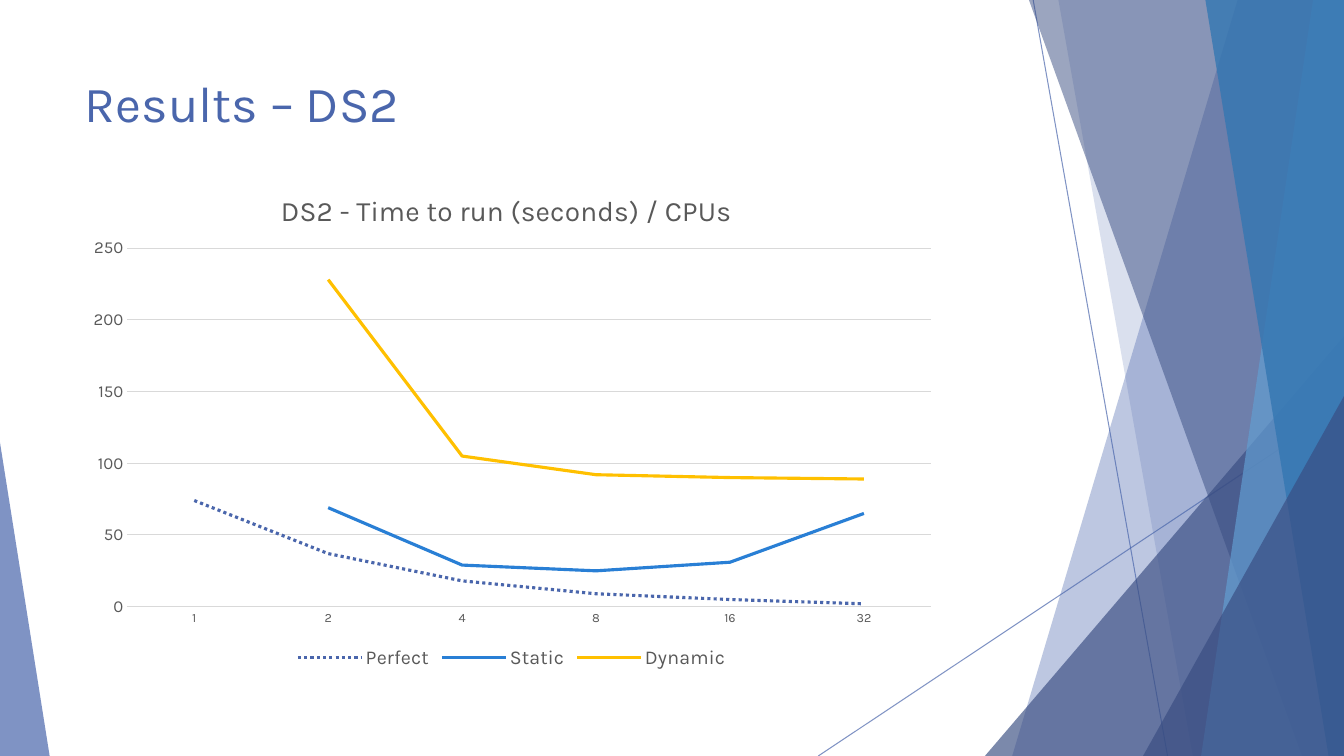
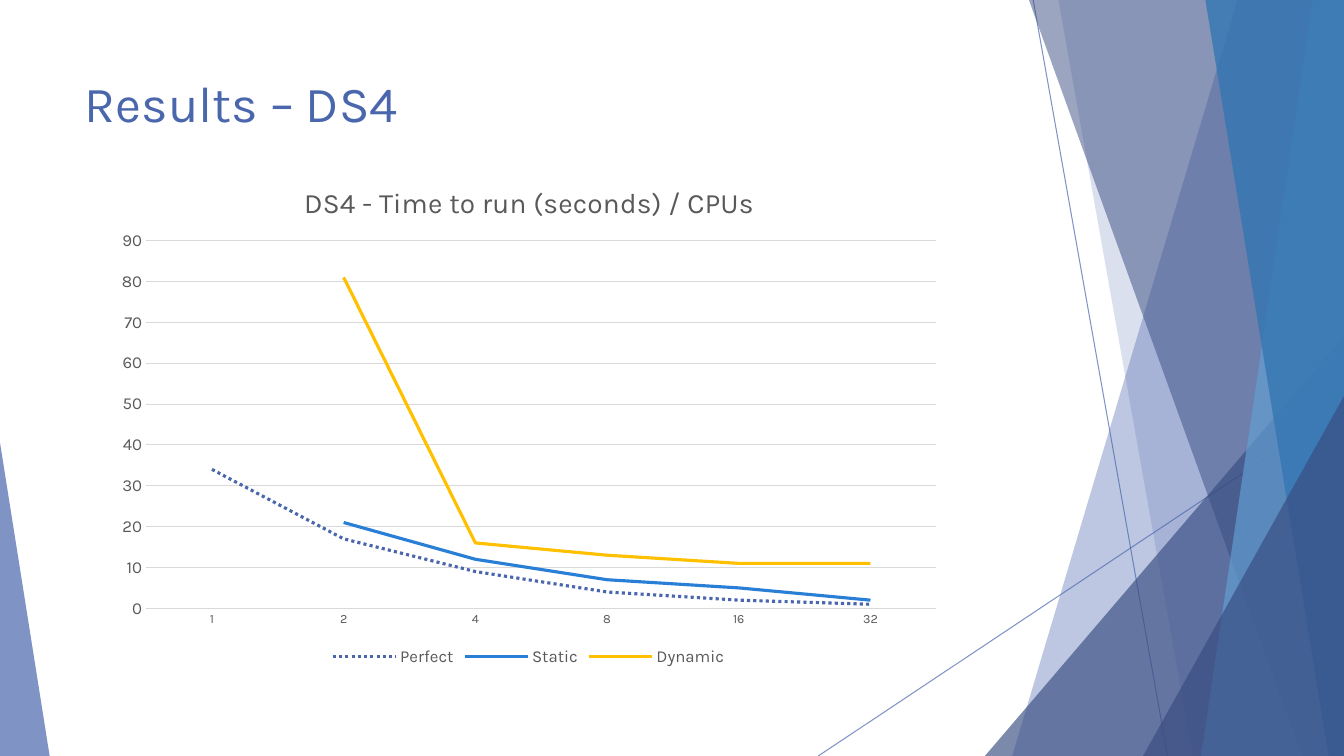
import pptx
import pptx.chart.data
import pptx.dml.color
import pptx.enum.chart
import pptx.enum.dml
import pptx.enum.shapes
import pptx.enum.text
import pptx.oxml
import pptx.oxml.ns
import pptx.util

Pt = pptx.util.Pt
RGBColor = pptx.dml.color.RGBColor
qn = pptx.oxml.ns.qn

INDIGO = RGBColor(0x4A, 0x66, 0xAC)
NAVY = RGBColor(0x38, 0x4C, 0x81)
SKY = RGBColor(0x62, 0x9D, 0xD1)
OCEAN = RGBColor(0x34, 0x77, 0xB2)
BLUE = RGBColor(0x29, 0x7F, 0xD5)
GOLD = RGBColor(0xFF, 0xC0, 0x00)
TEXT_GREY = RGBColor(0x59, 0x59, 0x59)
GRID_GREY = RGBColor(0xD9, 0xD9, 0xD9)
FONT = "Karla"
WIDTH, HEIGHT = 960, 540


def set_opacity(shape, percent):
    for colour in shape.element.xpath(".//a:srgbClr"):
        alpha = pptx.oxml.ns.qn("a:alpha")
        colour.append(colour.makeelement(alpha, {"val": str(percent * 1000)}))


def place_by_fraction(parent, index, values):
    """Give a chart part a manual layout, in fractions of the chart area."""
    for old in parent.findall(qn("c:layout")):
        parent.remove(old)
    layout_part = parent.makeelement(qn("c:layout"), {})
    manual = layout_part.makeelement(qn("c:manualLayout"), {})
    layout_part.append(manual)
    for name, value in values.items():
        manual.append(manual.makeelement(qn("c:" + name), {"val": str(value)}))
    parent.insert(index, layout_part)


RESULTS = [
    {
        "name": "DS2",
        "box": (53.5, 115, 624, 366),
        "plot": {"x": 0.06, "y": 0.17, "w": 0.92, "h": 0.7},
        "scale": {"minimum_scale": 0, "maximum_scale": 250, "major_unit": 50},
        "legend_size": 14,
        "times": [
            (74, 37, 18, 9, 5, 2),
            (None, 69, 29, 25, 31, 65),
            (None, 228, 105, 92, 90, 89),
        ],
    },
    {
        "name": "DS4",
        "box": (74, 109, 607, 370),
        "plot": {"x": 0.05, "y": 0.17, "w": 0.93, "h": 0.71},
        "scale": {"minimum_scale": 0, "maximum_scale": 90, "major_unit": 10},
        "legend_size": 12,
        "times": [
            (34, 17, 9, 4, 2, 1),
            (None, 21, 12, 7, 5, 2),
            (None, 81, 16, 13, 11, 11),
        ],
    },
]
CPU_COUNTS = ["1", "2", "4", "8", "16", "32"]
DASH = pptx.enum.dml.MSO_LINE
SERIES = [
    ("Perfect", INDIGO, DASH.ROUND_DOT),
    ("Static", BLUE, DASH.SOLID),
    ("Dynamic", GOLD, DASH.SOLID),
]

deck = pptx.Presentation()
deck.slide_width, deck.slide_height = Pt(WIDTH), Pt(HEIGHT)
layout = deck.slide_layouts[5]
pages = [deck.slides.add_slide(layout) for result in RESULTS]

# Title style, held by the layout
title = layout.placeholders[0]
title_format = {"left": Pt(53.5), "top": Pt(48), "width": Pt(677), "height": Pt(104)}
for name, value in title_format.items():
    setattr(title, name, value)
title.text_frame.vertical_anchor = pptx.enum.text.MSO_ANCHOR.TOP
title_style = title.element.xpath(".//a:lstStyle")[0]
title_style.clear()
title_style.append(pptx.oxml.parse_xml(
    '<a:lvl1pPr xmlns:a="http://schemas.openxmlformats.org/drawingml/2006/main" algn="l">'
    f'<a:defRPr sz="3600"><a:solidFill><a:srgbClr val="{INDIGO}"/></a:solidFill>'
    f'<a:latin typeface="{FONT}"/></a:defRPr></a:lvl1pPr>'
))

# Decoration: drawn on the first page, then moved to the layout
shapes = pages[0].shapes
decoration = []
for start, end in [((738, 0), (834, HEIGHT)), ((WIDTH, 290), (584.5, HEIGHT))]:
    line = shapes.add_connector(
        pptx.enum.shapes.MSO_CONNECTOR.STRAIGHT, *map(Pt, start + end))
    line.line.color.rgb = INDIGO
    line.line.width = Pt(0.75)
    line.element.spPr.append(line.element.makeelement(qn("a:effectLst"), {}))
    set_opacity(line, 70)
    decoration.append(line)

# A band gives its top and bottom x; a triangle its box and apex
FACETS = [
    ("band", (884, 723), INDIGO, 36),
    ("band", (756, 852), INDIGO, 20),
    ("triangle", (703.5, 240, 256.5, 300, 1), NAVY, 66),
    ("band", (735, 929.5), NAVY, 50),
    ("band", (938, 858), SKY, 70),
    ("band", (861, 949), OCEAN, 80),
    ("triangle", (816.5, 283, 143.5, 257, 1), NAVY, 66),
    ("triangle", (0, 316, 35.5, 224, 0), INDIGO, 70),
]
for kind, geometry, colour, opacity in FACETS:
    if kind == "band":
        top_x, bottom_x = geometry
        outline = shapes.build_freeform(top_x, 0, scale=Pt(1))
        outline.add_line_segments([(WIDTH, 0), (WIDTH, HEIGHT), (bottom_x, HEIGHT)])
        facet = outline.convert_to_shape()
    else:
        *box, apex = geometry
        facet = shapes.add_shape(
            pptx.enum.shapes.MSO_SHAPE.ISOSCELES_TRIANGLE, *map(Pt, box))
        facet.adjustments[0] = apex
    facet.shadow.inherit = False
    facet.fill.solid()
    facet.fill.fore_color.rgb = colour
    facet.line.fill.background()
    set_opacity(facet, opacity)
    decoration.append(facet)

for number, shape in enumerate(decoration, start=20):
    shape.element.xpath(".//p:cNvPr")[0].set("id", str(number))
    title.element.addprevious(shape.element)

for page, result in zip(pages, RESULTS):
    page.shapes.title.text = f"Results – {result['name']}"

    data = pptx.chart.data.CategoryChartData()
    data.categories = CPU_COUNTS
    for (name, colour, dash), times in zip(SERIES, result["times"]):
        data.add_series(name, times)
    chart = page.shapes.add_chart(
        pptx.enum.chart.XL_CHART_TYPE.LINE, *map(Pt, result["box"]), data).chart

    chart.has_title = True
    chart_title = chart.chart_title.text_frame
    chart_title.text = f"{result['name']} - Time to run (seconds) / CPUs"
    chart.has_legend = True
    chart.legend.position = pptx.enum.chart.XL_LEGEND_POSITION.BOTTOM
    chart.legend.include_in_layout = False

    cpu_axis, time_axis = chart.category_axis, chart.value_axis
    for name, value in result["scale"].items():
        setattr(time_axis, name, value)
    for axis in (cpu_axis, time_axis):
        axis.major_tick_mark = pptx.enum.chart.XL_TICK_MARK.NONE
        axis.minor_tick_mark = pptx.enum.chart.XL_TICK_MARK.NONE
    time_axis.format.line.fill.background()
    for rule in (cpu_axis.format.line, time_axis.major_gridlines.format.line):
        rule.color.rgb = GRID_GREY
        rule.width = Pt(0.75)

    for font, size in [
        (chart.font, 10),
        (chart_title.paragraphs[0].runs[0].font, 20),
        (cpu_axis.tick_labels.font, 9),
        (time_axis.tick_labels.font, 12),
        (chart.legend.font, result["legend_size"]),
    ]:
        for name, value in {"name": FONT, "size": Pt(size), "bold": False}.items():
            setattr(font, name, value)
        font.color.rgb = TEXT_GREY

    chart.plots[0].vary_by_categories = False
    for series, (name, colour, dash) in zip(chart.plots[0].series, SERIES):
        series.smooth = False
        series.format.line.color.rgb = colour
        series.format.line.width = Pt(2.25)
        series.format.line.dash_style = dash

    edges = {"xMode": "edge", "yMode": "edge"}
    plot_area = chart.element.xpath(".//c:plotArea")[0]
    place_by_fraction(plot_area, 0, {"layoutTarget": "inner", **edges, **result["plot"]})
    title_part = chart.element.xpath("./c:chart/c:title")[0]
    place_by_fraction(title_part, 1, {**edges, "x": 0.23, "y": 0.05})

deck.save("out.pptx")
